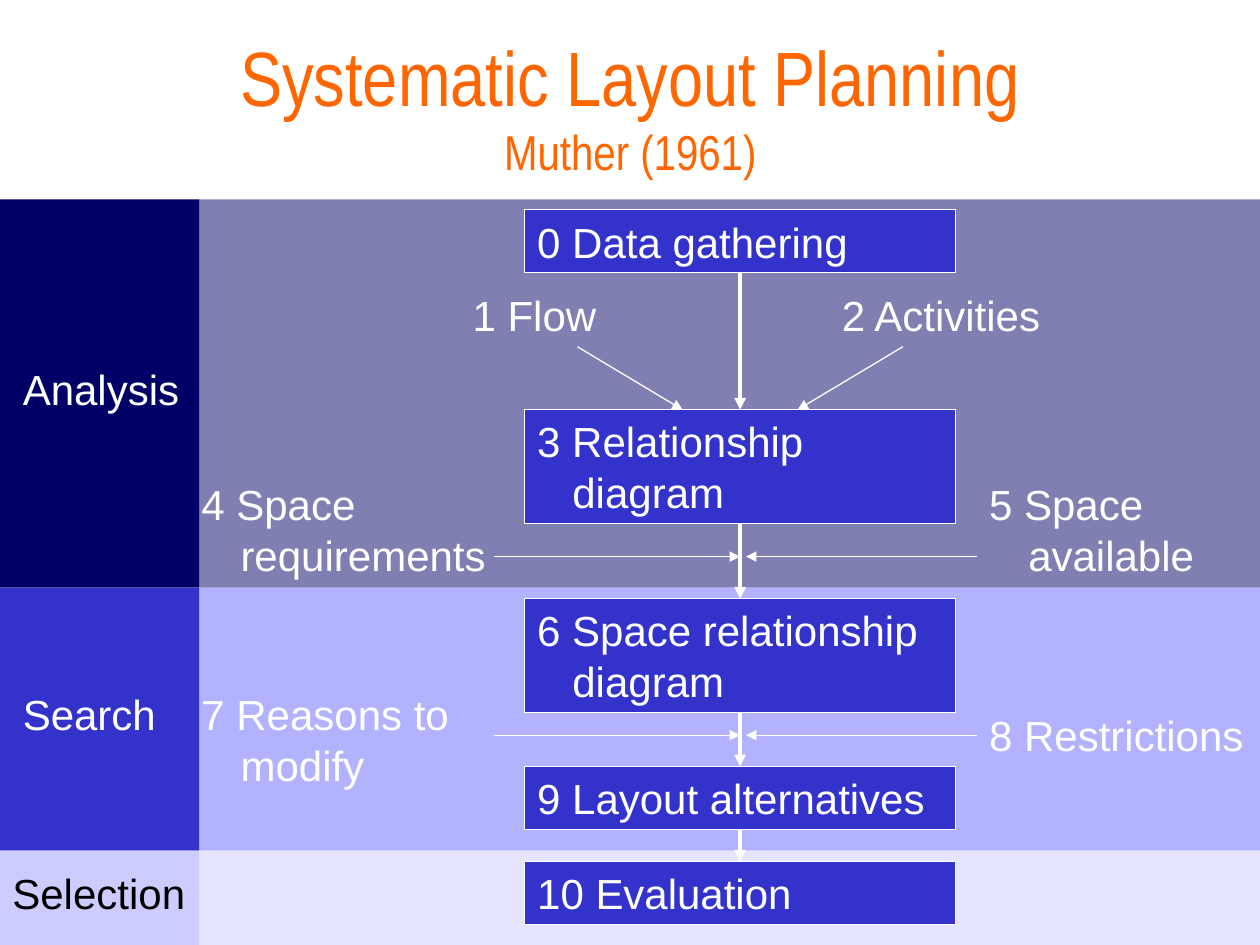
from pptx import Presentation
from pptx.dml.color import RGBColor
from pptx.enum.shapes import MSO_CONNECTOR, MSO_SHAPE
from pptx.enum.text import MSO_ANCHOR, MSO_AUTO_SIZE, PP_ALIGN
from pptx.oxml.ns import qn
from pptx.util import Cm, Pt
from lxml import etree

RECTANGLE = MSO_SHAPE.RECTANGLE
STRAIGHT = MSO_CONNECTOR.STRAIGHT
LEFT, CENTER, RIGHT = PP_ALIGN.LEFT, PP_ALIGN.CENTER, PP_ALIGN.RIGHT
BOTTOM_SIDE, TOP_SIDE = 2, 0

WHITE = RGBColor(0xFF, 0xFF, 0xFF)
BLACK = RGBColor(0, 0, 0)
ORANGE = RGBColor(0xFF, 0x66, 0x00)
NAVY = RGBColor(0x00, 0x00, 0x66)
BLUE = RGBColor(0x33, 0x33, 0xCC)
LIGHT_BLUE = RGBColor(0x66, 0x66, 0xFF)
PALE_BLUE = RGBColor(0xCC, 0xCC, 0xFF)

PAGE_WIDTH, PAGE_HEIGHT = 25.4, 19.05
LABEL_WIDTH = 4.02
BOX_LEFT, BOX_WIDTH = 10.58, 8.68
AXIS = BOX_LEFT + BOX_WIDTH / 2
LINE_HEIGHT, TWO_LINES = 1.27, 2.29
BOX_INDENT, NOTE_INDENT = 0.71, 0.79

# Phase: top, label colour, area colour, text colour
PHASES = [
    (4.02, NAVY, NAVY),
    (11.85, BLUE, LIGHT_BLUE),
    (17.15, PALE_BLUE, PALE_BLUE),
]
# Phase name: left, top, width, colour
PHASE_NAMES = [
    ("Analysis", 0.21, 7.2, 3.81, WHITE),
    ("Search", 0.21, 13.76, 3.38, WHITE),
    ("Selection", 0, 17.36, LABEL_WIDTH, BLACK),
]
# Step: text, top, height
STEPS = [
    ("0 Data gathering", 4.23, LINE_HEIGHT),
    ("3 Relationship\vdiagram", 8.26, TWO_LINES),
    ("6 Space relationship\vdiagram", 12.07, TWO_LINES),
    ("9 Layout alternatives", 15.45, LINE_HEIGHT),
    ("10 Evaluation", 17.37, LINE_HEIGHT),
]
# Input: text, left, top, width, height, alignment
INPUTS = [
    ("1 Flow", 6.77, 5.72, 5.5, LINE_HEIGHT, RIGHT),
    ("2 Activities", 16.72, 5.72, 5.29, LINE_HEIGHT, LEFT),
    ("4 Space requirements", 3.81, 9.53, 6.35, TWO_LINES, LEFT),
    ("5 Space available", 19.69, 9.53, 5.29, TWO_LINES, LEFT),
    ("7 Reasons to modify", 3.81, 13.76, 6.15, TWO_LINES, LEFT),
    ("8 Restrictions", 19.69, 14.18, 5.71, LINE_HEIGHT, LEFT),
]
SIDE_ARROW_LEVELS = [11.22, 14.82]


def write(shape, text, color=WHITE, align=LEFT, indent=0):
    """Fill a shape with 24 pt text, hanging by the given indent."""
    frame = shape.text_frame
    frame.word_wrap = True
    frame.vertical_anchor = MSO_ANCHOR.TOP
    frame.text = text
    para = frame.paragraphs[0]
    para.alignment = align
    if indent:
        properties = para._p.get_or_add_pPr()
        properties.set("marL", str(Cm(indent)))
        properties.set("indent", str(-Cm(indent)))
    for span in para.runs:
        span.font.name = "Arial"
        span.font.size = Pt(24)
        span.font.color.rgb = color


def add_rectangle(page, left, top, width, height, color, alpha=None):
    box = page.shapes.add_shape(RECTANGLE, Cm(left), Cm(top), Cm(width), Cm(height))
    box.shadow.inherit = False
    box.fill.solid()
    box.fill.fore_color.rgb = color
    box.line.fill.background()
    if alpha:
        fill_color = box._element.spPr.find(qn("a:solidFill"))[0]
        etree.SubElement(fill_color, qn("a:alpha"), val=str(alpha * 1000))
    return box


def add_text(page, text, left, top, width, height, **style):
    box = page.shapes.add_textbox(Cm(left), Cm(top), Cm(width), Cm(height))
    write(box, text, **style)


def add_step(page, text, top, height):
    box = add_rectangle(page, BOX_LEFT, top, BOX_WIDTH, height, BLUE)
    box.line.color.rgb = WHITE
    box.line.width = Pt(0.75)
    write(box, text, indent=BOX_INDENT)
    return box


def add_arrow(page, start_x, start_y, end_x, end_y, weight=0.75):
    arrow = page.shapes.add_connector(
        STRAIGHT, Cm(start_x), Cm(start_y), Cm(end_x), Cm(end_y))
    arrow.line.color.rgb = WHITE
    arrow.line.width = Pt(weight)
    etree.SubElement(arrow.line._get_or_add_ln(), qn("a:tailEnd"), type="triangle")
    etree.SubElement(arrow._element.spPr, qn("a:effectLst"))
    return arrow


def set_title(page):
    title = page.shapes.title
    title.left, title.top, title.width, title.height = Cm(1.91), Cm(1.27), Cm(21.59), Cm(1.7)
    frame = title.text_frame
    frame.auto_size = MSO_AUTO_SIZE.NONE
    frame.vertical_anchor = MSO_ANCHOR.MIDDLE
    frame.text = "Systematic Layout Planning\vMuther (1961)"
    para = frame.paragraphs[0]
    para.alignment = CENTER
    for span, size in zip(para.runs, (44, 28)):
        span.font.name = "Arial Narrow"
        span.font.size = Pt(size)
        span.font.color.rgb = ORANGE


def main():
    deck = Presentation()
    deck.slide_width, deck.slide_height = Cm(PAGE_WIDTH), Cm(PAGE_HEIGHT)
    page = deck.slides.add_slide(deck.slide_layouts[5])
    set_title(page)

    # Phase bands, each reaching down to the next one
    bottoms = [phase[0] for phase in PHASES[1:]] + [PAGE_HEIGHT]
    for (top, label_color, area_color), bottom in zip(PHASES, bottoms):
        add_rectangle(page, 0, top, LABEL_WIDTH, bottom - top, label_color)
        add_rectangle(page, LABEL_WIDTH, top, PAGE_WIDTH - LABEL_WIDTH,
                      bottom - top, area_color, alpha=50)
    for name, left, top, width, color in PHASE_NAMES:
        add_text(page, name, left, top, width, LINE_HEIGHT, color=color)

    # Main steps, joined from top to bottom
    boxes = [add_step(page, *step) for step in STEPS]
    for upper, lower in zip(boxes, boxes[1:]):
        arrow = add_arrow(page, AXIS, 0, AXIS, 1, weight=2.25)
        arrow.begin_connect(upper, BOTTOM_SIDE)
        arrow.end_connect(lower, TOP_SIDE)

    # Inputs to the steps
    for text, left, top, width, height, align in INPUTS:
        indent = NOTE_INDENT if height == TWO_LINES else 0
        add_text(page, text, left, top, width, height, align=align, indent=indent)
    for side in (-1, 1):
        add_arrow(page, AXIS + side * 3.28, 6.99, AXIS + side * 1.16, 8.26)
    for level in SIDE_ARROW_LEVELS:
        add_arrow(page, 9.95, level, AXIS, level)
        add_arrow(page, 19.69, level, AXIS + 0.12, level)

    deck.save("out.pptx")


if __name__ == "__main__":
    main()
